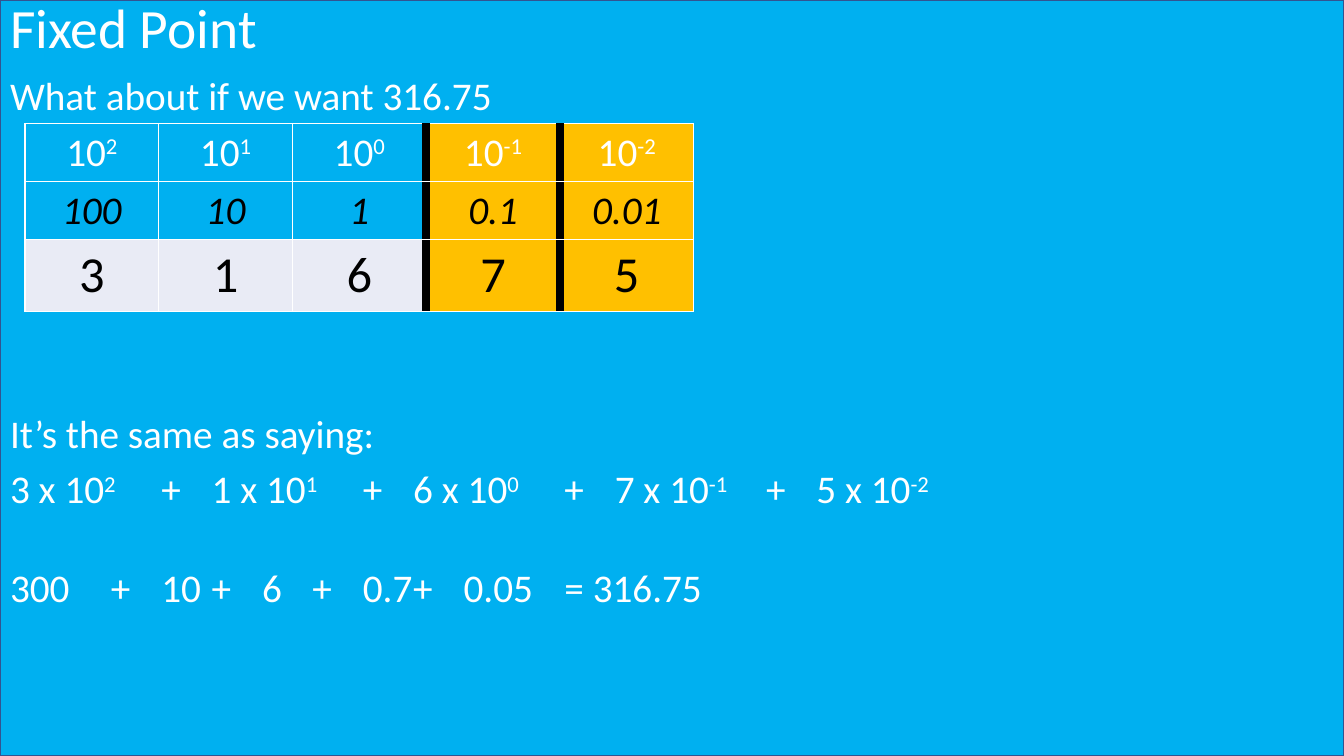
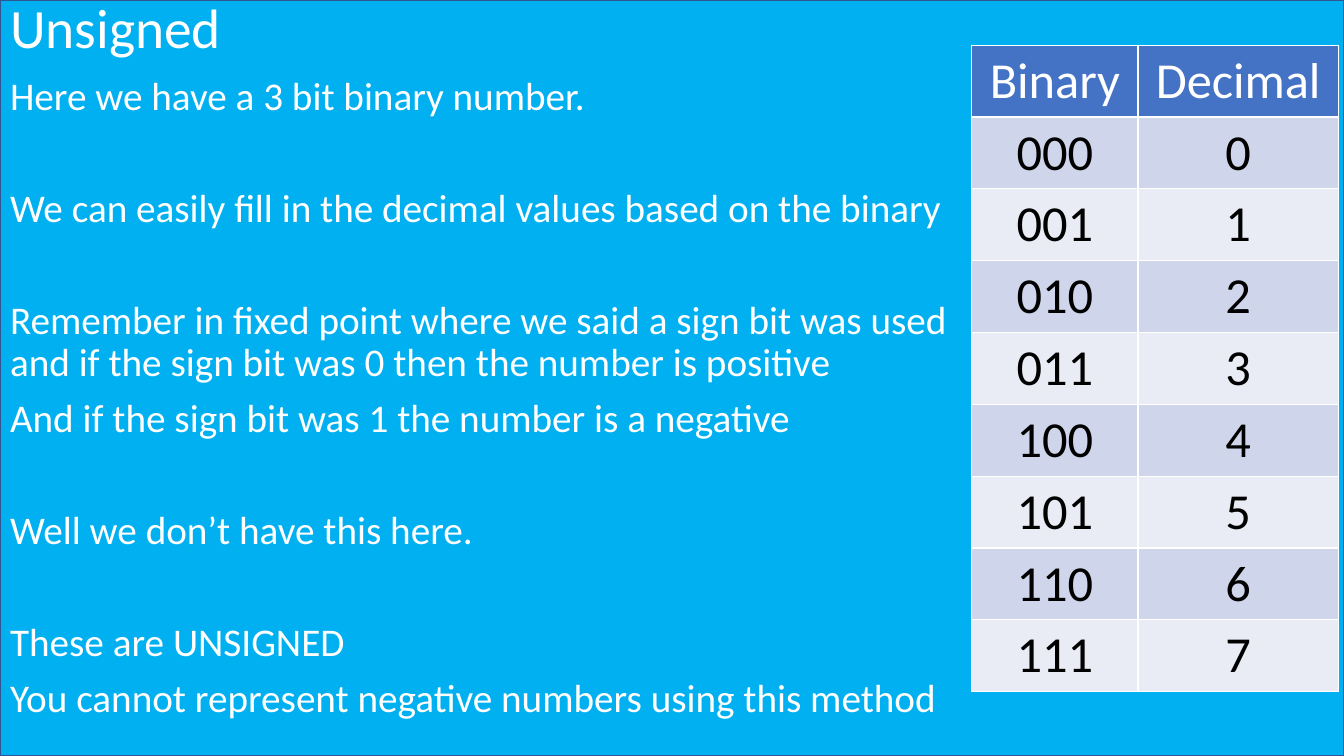
from lxml.etree import SubElement
from pptx import Presentation
from pptx.dml.color import RGBColor
from pptx.enum.shapes import MSO_SHAPE
from pptx.enum.text import MSO_ANCHOR, MSO_AUTO_SIZE, PP_ALIGN
from pptx.oxml.ns import qn
from pptx.util import Cm, Pt

# Colours
SKY = RGBColor(0x00, 0xB0, 0xF0)
NAVY = RGBColor(0x32, 0x54, 0x91)
BLUE = RGBColor(0x44, 0x72, 0xC4)
GOLD = RGBColor(0xFF, 0xC0, 0x00)
MIST = RGBColor(0xCF, 0xD5, 0xEA)
PALE = RGBColor(0xE9, 0xEB, 0xF5)
WHITE = RGBColor(0xFF, 0xFF, 0xFF)
BLACK = RGBColor(0x00, 0x00, 0x00)

# Sizes and text formats
WIDE, HIGH = Cm(33.87), Cm(19.05)
HEAD = {"name": "Calibri", "size": Pt(39.6)}
TEXT = {"name": "Calibri", "size": Pt(28)}
ITALIC = {**TEXT, "italic": True}
LARGE = {"name": "Calibri", "size": Pt(36)}
FRAME = {"word_wrap": True, "auto_size": MSO_AUTO_SIZE.NONE}
GAP = 9.5  # points between paragraphs
LINE = 30.8  # points for one empty line
LOW, TALL = Cm(1.46), Cm(1.81)  # table row heights


def assign(item, form):
    for name, value in form.items():
        setattr(item, name, value)


def write(para, text, form, color):
    """Add runs; parts between bars are raised, a newline is a break."""
    for index, part in enumerate(text.split("|")):
        for count, line in enumerate(part.split("\n")):
            if count:
                para.add_line_break()
            run = para.add_run()
            run.text = line
            assign(run.font, form)
            run.font.color.rgb = color
            if index % 2:
                run.font._element.set("baseline", "30000")


def set_base(deck, layout):
    """Give the master its backdrop and the layout its two boxes."""
    slide = deck.slides.add_slide(layout)
    back = slide.shapes.add_shape(MSO_SHAPE.RECTANGLE, 0, 0, WIDE, HIGH)
    back.shadow.inherit = False
    back.fill.solid()
    back.fill.fore_color.rgb = SKY
    back.line.color.rgb = NAVY
    back.line.width = Pt(1)
    deck.slide_master.element.cSld.spTree.insert(2, back.element)
    for box, top, high in zip(layout.placeholders, (0, 1.8), (1.55, 17.25)):
        assign(box, {"left": 0, "top": Cm(top), "width": WIDE, "height": Cm(high)})
    return slide


def add_title(slide, text):
    frame = slide.shapes.title.text_frame
    assign(frame, {**FRAME, "vertical_anchor": MSO_ANCHOR.MIDDLE})
    para = frame.paragraphs[0]
    assign(para, {"alignment": PP_ALIGN.LEFT, "line_spacing": 0.9})
    write(para, text, HEAD, WHITE)


def add_body(slide, items):
    """Each item is text, empty lines above it, and tab stops in cm."""
    frame = slide.placeholders[1].text_frame
    assign(frame, FRAME)
    for index, (text, skip, stops) in enumerate(items):
        para = frame.add_paragraph() if index else frame.paragraphs[0]
        space = GAP + skip if index else 0
        assign(para, {"line_spacing": 0.9, "space_before": Pt(space), "space_after": Pt(0)})
        props = para._p.get_or_add_pPr()
        props.set("marL", "0")
        props.set("indent", "0")
        SubElement(props, qn("a:buNone"))
        if stops:
            tabs = SubElement(props, qn("a:tabLst"))
            for stop in stops:
                SubElement(tabs, qn("a:tab"), pos=str(Cm(stop)), algn="l")
        write(para, text, TEXT, WHITE)


def edge(cell, side, color, width):
    line = SubElement(cell._tc.get_or_add_tcPr(), qn("a:ln" + side), w=str(Pt(width)))
    fill = SubElement(line, qn("a:solidFill"))
    SubElement(fill, qn("a:srgbClr"), val=str(color))


def add_grid(slide, left, top, widths, rows, bars=()):
    """Each row is height, format, text colour, fills and texts.

    Bars are the numbers of the columns with a thick left edge."""
    high = sum(row[0] for row in rows)
    shape = slide.shapes.add_table(
        len(rows), len(widths), Cm(left), Cm(top), Cm(sum(widths)), high)
    table = shape.table
    for column, width in zip(table.columns, widths):
        column.width = Cm(width)
    for y, (height, form, color, fills, texts) in enumerate(rows):
        table.rows[y].height = height
        for x, (text, fill) in enumerate(zip(texts, fills)):
            cell = table.cell(y, x)
            for side, place in (("L", x), ("R", x + 1), ("T", None), ("B", None)):
                thick = place in bars
                edge(cell, side, BLACK if thick else WHITE, 6 if thick else 1)
            cell.fill.solid()
            cell.fill.fore_color.rgb = fill
            para = cell.text_frame.paragraphs[0]
            para.alignment = PP_ALIGN.CENTER
            write(para, text, form, color)


def fill_fixed(slide):
    add_title(slide, "Fixed Point")
    add_body(slide, [
        ("What about if we want 316.75", 0, ()),
        ("It’s the same as saying:", 5 * (LINE + GAP), ()),
        ("3 x 10|2|\t+\t1 x 10|1|\t+\t6 x 10|0|\t+\t7 x 10|-1|\t+\t5 x 10|-2", 0,
         (2.85, 5.08, 8.8, 10.16, 15.24, 18.2, 23.03, 25.4)),
        ("300\t+\t10\t+\t6\t+\t0.7\t+\t0.05\t= 316.75", LINE,
         (2.94, 5.08, 8.92, 10.16, 15.24, 18.2, 23.48, 25.4, 29.37)),
    ])
    sky, pale = ([tone] * 3 + [GOLD] * 2 for tone in (SKY, PALE))
    add_grid(slide, 0.63, 3.12, [3.37] * 5, [
        (LOW, TEXT, WHITE, sky, [f"10|{power}" for power in range(2, -3, -1)]),
        (LOW, ITALIC, BLACK, sky, ["100", "10", "1", "0.1", "0.01"]),
        (TALL, LARGE, BLACK, pale, "31675"),
    ], bars=(3, 4))


def fill_plain(slide):
    add_title(slide, "Unsigned")
    skip = LINE + GAP
    add_body(slide, [
        ("Here we have a 3 bit binary number.", 0, ()),
        ("We can easily fill in the decimal values based on the binary", skip, ()),
        ("Remember in fixed point where we said a sign bit was used\n"
         "and if the sign bit was 0 then the number is positive", skip, ()),
        ("And if the sign bit was 1 the number is a negative", 0, ()),
        ("Well we don’t have this here.", skip, ()),
        ("These are UNSIGNED", skip, ()),
        ("You cannot represent negative numbers using this method", 0, ()),
    ])
    rows = [(TALL, LARGE, WHITE, [BLUE] * 2, ["Binary", "Decimal"])]
    for count in range(8):
        tone = PALE if count % 2 else MIST
        rows.append((TALL, LARGE, BLACK, [tone] * 2, [f"{count:03b}", str(count)]))
    add_grid(slide, 24.49, 1.14, [4.19, 5.05], rows)


def main():
    deck = Presentation()
    assign(deck, {"slide_width": WIDE, "slide_height": HIGH})
    layout = deck.slide_layouts[1]
    fill_fixed(set_base(deck, layout))
    fill_plain(deck.slides.add_slide(layout))
    deck.save("out.pptx")


if __name__ == "__main__":
    main()
